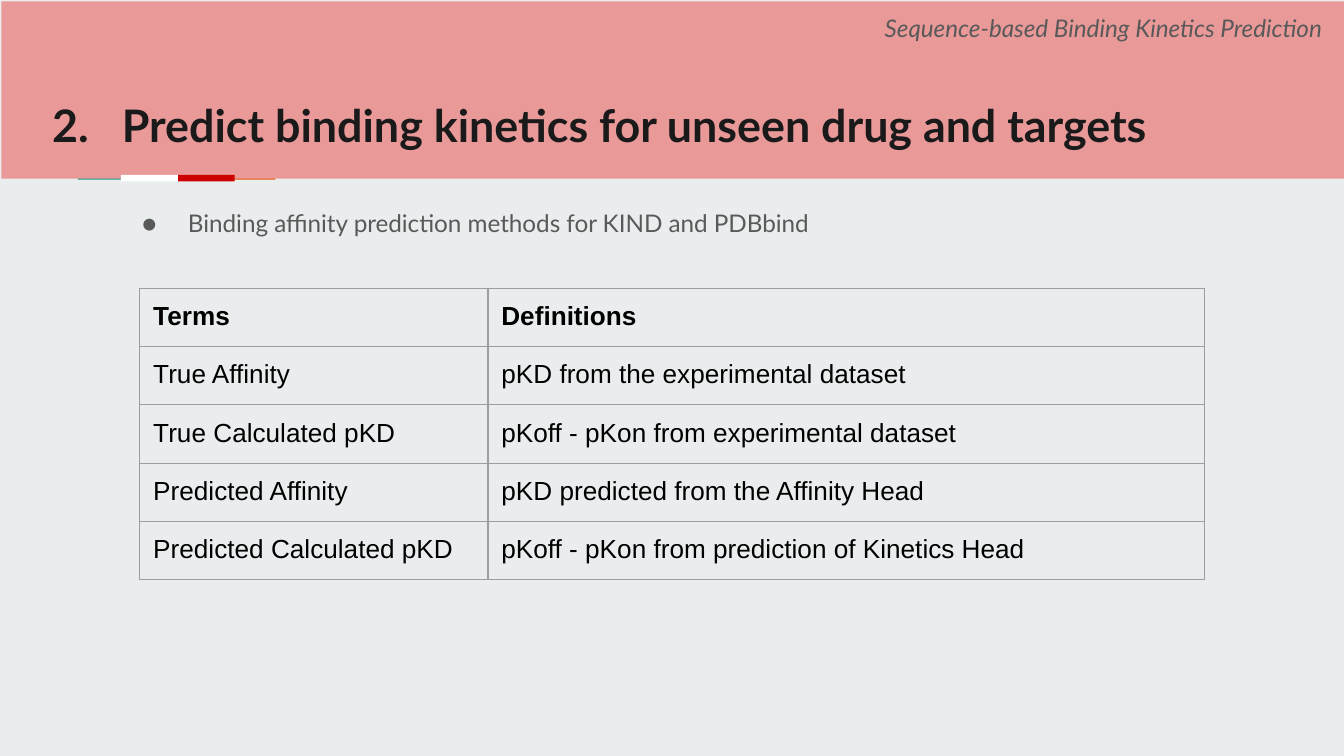
from dataclasses import dataclass

import pptx
import pptx.dml.color
import pptx.enum.shapes
import pptx.enum.text
import pptx.oxml.ns
import pptx.oxml.xmlchemy
import pptx.presentation
import pptx.slide
import pptx.table
import pptx.text.text
import pptx.util
from lxml import etree

Pt = pptx.util.Pt
Align = pptx.enum.text.PP_ALIGN
Anchor = pptx.enum.text.MSO_ANCHOR


@dataclass(frozen=True)
class Theme:
    background: str = "E9EDEE"
    band: str = "EA9999"
    teal: str = "1A9988"
    orange: str = "EB5600"
    red: str = "CC0000"
    white: str = "FFFFFF"
    title: str = "1A1A1A"
    body: str = "595959"
    table_text: str = "000000"
    border: str = "9E9E9E"
    slide_font: str = "Lato"
    table_font: str = "Arial"
    title_size: float = 24
    body_size: float = 13
    table_size: float = 14
    border_width: float = 0.75
    inset: float = 7.2


@dataclass(frozen=True)
class Bar:
    left: float
    top: float
    width: float
    height: float
    color: str


@dataclass(frozen=True)
class Style:
    font: str
    size: float
    color: str
    bold: bool = False
    italic: bool = False


@dataclass(frozen=True)
class TextBlock:
    left: float
    top: float
    width: float
    height: float
    text: str
    style: Style
    align: Align = Align.LEFT
    anchor: Anchor = Anchor.TOP
    line_spacing: float = 1.0
    hanging_from: float = 0
    hanging_to: float = 0
    bullet: str = ""


THEME = Theme()

BARS = [
    Bar(41.8, 92.6, 52.9, 3.6, THEME.teal),
    Bar(94.7, 92.6, 52.9, 3.6, THEME.orange),
    Bar(0.72, 0.72, 720, 95.04, THEME.band),
    Bar(95.3, 93.7, 30.5, 3.5, THEME.red),
    Bar(64.8, 93.7, 30.5, 3.5, THEME.white),
]

TEXT_BLOCKS = [
    TextBlock(20.9, 31, 645.1, 48.2,
              "2.\tPredict binding kinetics for unseen drug and targets",
              Style(THEME.slide_font, THEME.title_size, THEME.title, bold=True),
              line_spacing=1.5, hanging_to=37.3),
    TextBlock(57.6, 95.8, 605.5, 31.7,
              "Binding affinity prediction methods for KIND and PDBbind",
              Style(THEME.slide_font, THEME.body_size, THEME.body),
              anchor=Anchor.MIDDLE, line_spacing=2,
              hanging_from=11.5, hanging_to=36, bullet="●"),
    TextBlock(450, 0, 265, 20.2,
              "Sequence-based Binding Kinetics Prediction",
              Style(THEME.slide_font, THEME.body_size, THEME.body, italic=True),
              align=Align.RIGHT),
]

TABLE_LEFT, TABLE_TOP, ROW_HEIGHT = 74.9, 154.4, 30.1
COLUMN_WIDTHS = [186.5, 383.8]
TERMS = [
    ("Terms", "Definitions"),
    ("True Affinity", "pKD from the experimental dataset"),
    ("True Calculated pKD", "pKoff - pKon from experimental dataset"),
    ("Predicted Affinity", "pKD predicted from the Affinity Head"),
    ("Predicted Calculated pKD", "pKoff - pKon from prediction of Kinetics Head"),
]


def color_of(value: str) -> pptx.dml.color.RGBColor:
    return pptx.dml.color.RGBColor.from_string(value)


def add_element(parent: etree._Element, tag: str, **attributes: str) -> etree._Element:
    return etree.SubElement(parent, pptx.oxml.ns.qn(tag), **attributes)


def format_runs(para: pptx.text.text._Paragraph, style: Style) -> None:
    for span in para.runs:
        span.font.name = style.font
        span.font.size = Pt(style.size)
        span.font.bold = style.bold
        span.font.italic = style.italic
        span.font.color.rgb = color_of(style.color)


def set_hanging(para: pptx.text.text._Paragraph, block: TextBlock) -> None:
    properties = para._p.get_or_add_pPr()
    properties.set("marL", str(Pt(block.hanging_to)))
    properties.set("indent", str(Pt(block.hanging_from - block.hanging_to)))
    if block.bullet:
        bullet_color = add_element(properties, "a:buClr")
        add_element(bullet_color, "a:srgbClr", val=block.style.color)
        add_element(properties, "a:buFont", typeface=block.style.font)
        add_element(properties, "a:buChar", char=block.bullet)
    else:
        tabs = add_element(properties, "a:tabLst")
        add_element(tabs, "a:tab", pos=str(Pt(block.hanging_to)), algn="l")


def draw_bar(page: pptx.slide.Slide, bar: Bar) -> None:
    shape = page.shapes.add_shape(
        pptx.enum.shapes.MSO_SHAPE.RECTANGLE,
        Pt(bar.left), Pt(bar.top), Pt(bar.width), Pt(bar.height))
    shape.shadow.inherit = False
    shape.fill.solid()
    shape.fill.fore_color.rgb = color_of(bar.color)
    shape.line.fill.background()


def draw_text(page: pptx.slide.Slide, block: TextBlock) -> None:
    box = page.shapes.add_textbox(
        Pt(block.left), Pt(block.top), Pt(block.width), Pt(block.height))
    frame = box.text_frame
    frame.word_wrap = True
    frame.vertical_anchor = block.anchor
    frame.margin_left = frame.margin_right = Pt(THEME.inset)
    frame.margin_top = frame.margin_bottom = Pt(THEME.inset)
    frame.text = block.text
    para = frame.paragraphs[0]
    if block.hanging_to:
        set_hanging(para, block)
    para.alignment = block.align
    para.line_spacing = block.line_spacing
    format_runs(para, block.style)


def draw_cell(cell: pptx.table._Cell, text: str, style: Style) -> None:
    cell.margin_left = cell.margin_right = Pt(THEME.inset)
    cell.margin_top = cell.margin_bottom = Pt(THEME.inset)
    cell.text_frame.text = text
    format_runs(cell.text_frame.paragraphs[0], style)
    properties = cell._tc.get_or_add_tcPr()
    for side in ("a:lnL", "a:lnR", "a:lnT", "a:lnB"):
        border = add_element(properties, side, w=str(Pt(THEME.border_width)))
        border_fill = add_element(border, "a:solidFill")
        add_element(border_fill, "a:srgbClr", val=THEME.border)
    cell.fill.background()


def draw_table(page: pptx.slide.Slide) -> None:
    table = page.shapes.add_table(
        len(TERMS), len(COLUMN_WIDTHS), Pt(TABLE_LEFT), Pt(TABLE_TOP),
        Pt(sum(COLUMN_WIDTHS)), Pt(ROW_HEIGHT * len(TERMS))).table
    table.first_row = False
    table.horz_banding = False
    for column, width in zip(table.columns, COLUMN_WIDTHS):
        column.width = Pt(width)
    for row_index, row in enumerate(TERMS):
        table.rows[row_index].height = Pt(ROW_HEIGHT)
        style = Style(THEME.table_font, THEME.table_size, THEME.table_text,
                      bold=row_index == 0)
        for column_index, text in enumerate(row):
            draw_cell(table.cell(row_index, column_index), text, style)


def main() -> None:
    deck = pptx.Presentation()
    deck.slide_width, deck.slide_height = Pt(720), Pt(405)
    page = deck.slides.add_slide(deck.slide_layouts[6])
    page.background.fill.solid()
    page.background.fill.fore_color.rgb = color_of(THEME.background)
    for bar in BARS:
        draw_bar(page, bar)
    for block in TEXT_BLOCKS:
        draw_text(page, block)
    draw_table(page)
    deck.save("out.pptx")


if __name__ == "__main__":
    main()
